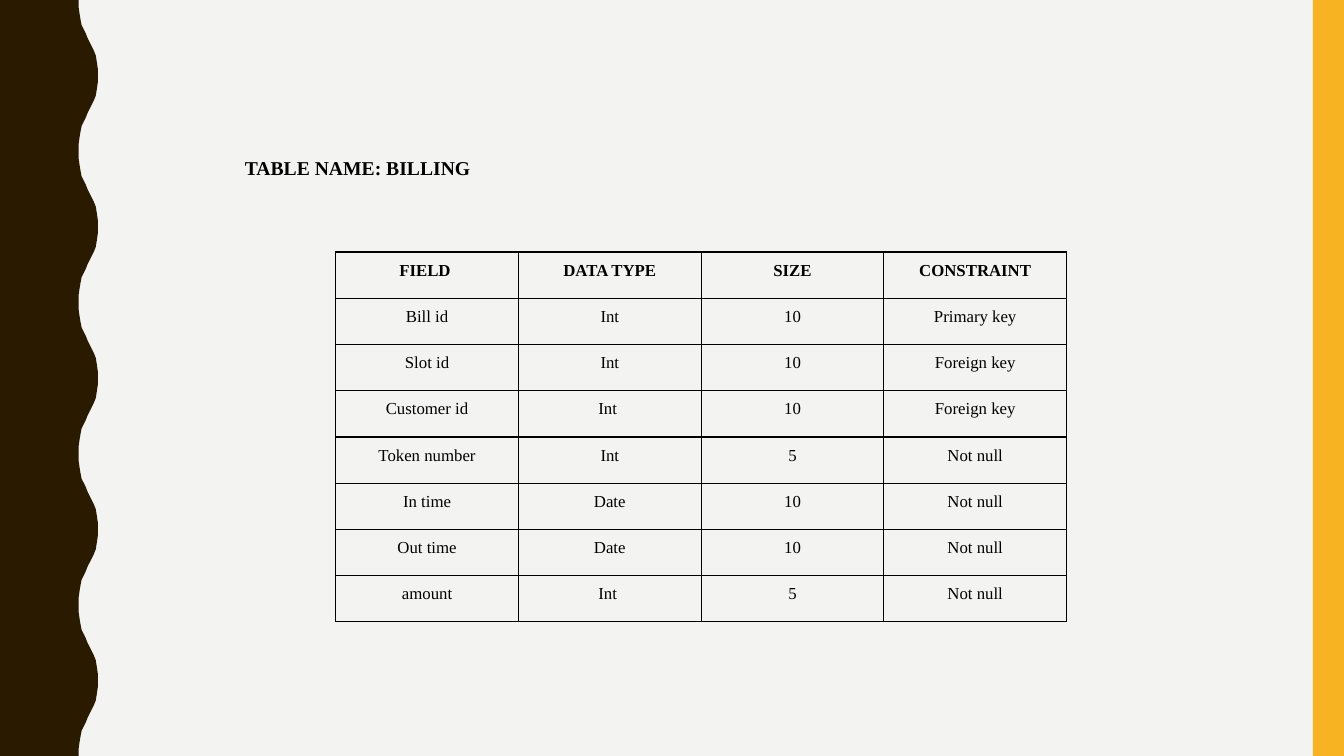
"""Build the slide that describes the billing table."""
from dataclasses import dataclass

from lxml import etree
from pptx import Presentation
from pptx.dml.color import RGBColor
from pptx.enum.shapes import MSO_SHAPE
from pptx.enum.text import MSO_ANCHOR, PP_ALIGN
from pptx.oxml.ns import qn
from pptx.shapes.base import BaseShape
from pptx.slide import Slide
from pptx.table import _Cell
from pptx.text.text import _Paragraph
from pptx.util import Inches, Pt

RECTANGLE = MSO_SHAPE.RECTANGLE
MIDDLE = MSO_ANCHOR.MIDDLE
CENTER = PP_ALIGN.CENTER

BACKGROUND = RGBColor(0xF3, 0xF3, 0xF2)
BROWN = RGBColor(0x2A, 0x1A, 0x00)
YELLOW = RGBColor(0xF8, 0xB3, 0x23)
BLACK = RGBColor(0x00, 0x00, 0x00)
FONT = "Times New Roman"

SLIDE_HEIGHT = 7.5
WAVE_PERIOD = 1.5
RISING_WAVE = [
    (0.78, 0), (0.78, 0.07), (0.79, 0.14), (0.8, 0.2), (0.81, 0.25),
    (0.83, 0.29), (0.85, 0.33), (0.87, 0.38), (0.89, 0.42), (0.91, 0.46),
    (0.93, 0.5), (0.95, 0.55), (0.96, 0.61), (0.97, 0.68), (0.97, 0.75),
]


@dataclass
class Field:
    name: str
    data_type: str
    size: str
    constraint: str

    def texts(self) -> list[str]:
        return [self.name, self.data_type, self.size, self.constraint]


HEADER = Field("FIELD ", "DATA TYPE", "SIZE", "CONSTRAINT")
FIELDS = [
    Field("Bill id", "Int", "10", "Primary key"),
    Field("Slot id", "Int", "10", "Foreign key"),
    Field("Customer id", "Int ", "10", "Foreign key"),
    Field("Token number", "Int", "5", "Not null"),
    Field("In time", "Date", "10", "Not null"),
    Field("Out time", "Date", "10", "Not null"),
    Field("amount", "Int ", "5", "Not null"),
]


def paint(shape: BaseShape, color: RGBColor) -> None:
    shape.shadow.inherit = False
    shape.fill.solid()
    shape.fill.fore_color.rgb = color
    shape.line.fill.background()


def format_text(paragraph: _Paragraph, size: int, bold: bool) -> None:
    for run in paragraph.runs:
        run.font.name = FONT
        run.font.size = Pt(size)
        run.font.bold = bold
        run.font.color.rgb = BLACK


def add_wavy_edge(slide: Slide) -> None:
    falling_wave = [(x, WAVE_PERIOD - y) for x, y in reversed(RISING_WAVE[:-1])]
    outline = [
        (x, y + period * WAVE_PERIOD)
        for period in range(round(SLIDE_HEIGHT / WAVE_PERIOD))
        for x, y in RISING_WAVE + falling_wave
    ]
    outline.append((0, SLIDE_HEIGHT))
    builder = slide.shapes.build_freeform(0, 0)
    builder.add_line_segments([(Inches(x), Inches(y)) for x, y in outline])
    paint(builder.convert_to_shape(), BROWN)


def add_yellow_band(slide: Slide) -> None:
    band = slide.shapes.add_shape(
        RECTANGLE, Inches(13.02), 0, Inches(0.31), Inches(SLIDE_HEIGHT))
    paint(band, YELLOW)


def add_title(slide: Slide) -> None:
    title = slide.shapes.add_textbox(
        Inches(2.33), Inches(1.42), Inches(3.07), Inches(0.71))
    text_frame = title.text_frame
    text_frame.word_wrap = False
    text_frame.vertical_anchor = MIDDLE
    text_frame.margin_bottom = Inches(0.27)
    text_frame.text = "TABLE NAME: BILLING"
    format_text(text_frame.paragraphs[0], 14, True)


def add_borders(cell: _Cell) -> None:
    properties = cell._tc.get_or_add_tcPr()
    for side in ("a:lnL", "a:lnR", "a:lnT", "a:lnB"):
        line = etree.SubElement(properties, qn(side), w=str(Pt(1)))
        fill = etree.SubElement(line, qn("a:solidFill"))
        etree.SubElement(fill, qn("a:srgbClr"), val=str(BLACK))


def fill_cell(cell: _Cell, text: str, bold: bool) -> None:
    add_borders(cell)
    cell.fill.background()
    cell.margin_left = cell.margin_right = Inches(0.07)
    cell.margin_top = cell.margin_bottom = 0
    cell.text_frame.text = text
    paragraph = cell.text_frame.paragraphs[0]
    paragraph.alignment = CENTER
    paragraph.line_spacing = 1.5
    paragraph.space_after = Pt(10)
    format_text(paragraph, 12, bold)


def add_field_table(slide: Slide) -> None:
    rows = [HEADER] + FIELDS
    table = slide.shapes.add_table(
        len(rows), len(HEADER.texts()),
        Inches(3.33), Inches(2.5), Inches(7.25), Inches(3.67)).table
    table.first_row = False
    table.horz_banding = False
    for row_index, field in enumerate(rows):
        for column_index, text in enumerate(field.texts()):
            fill_cell(table.cell(row_index, column_index), text, field is HEADER)


def main() -> None:
    presentation = Presentation()
    presentation.slide_width = Inches(13.33)
    presentation.slide_height = Inches(SLIDE_HEIGHT)
    slide = presentation.slides.add_slide(presentation.slide_layouts[6])
    slide.background.fill.solid()
    slide.background.fill.fore_color.rgb = BACKGROUND
    add_wavy_edge(slide)
    add_yellow_band(slide)
    add_field_table(slide)
    add_title(slide)
    presentation.save("out.pptx")


if __name__ == "__main__":
    main()
